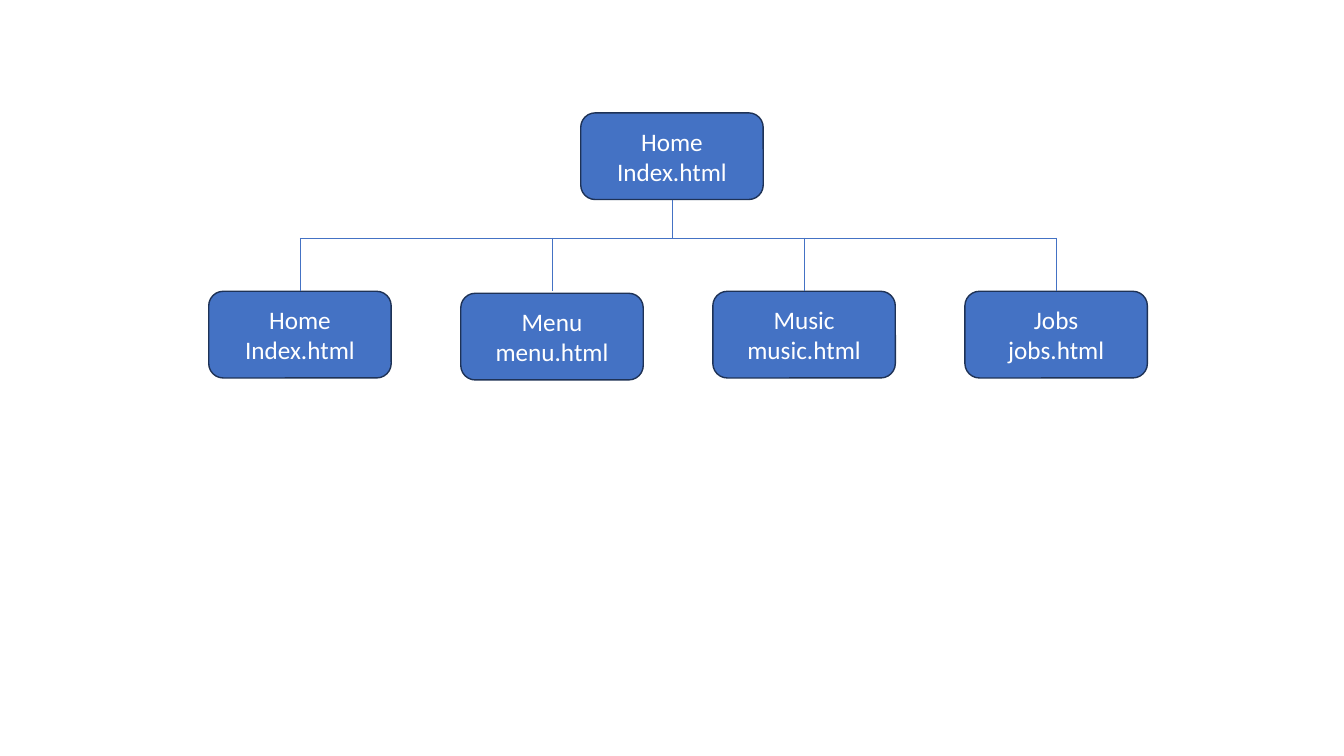
from pptx import Presentation
from pptx.dml.color import RGBColor
from pptx.enum.shapes import MSO_CONNECTOR as Connector, MSO_SHAPE as Shape
from pptx.enum.text import MSO_ANCHOR as Anchor, PP_ALIGN as Align
from pptx.oxml.ns import qn
from pptx.util import Inches, Pt
from lxml.etree import SubElement

BLUE, NAVY, WHITE = "4472C4", "1E3256", "FFFFFF"
NODE_WIDTH, NODE_HEIGHT = 1.81, 0.86
PITCH = 2.5
BAR_DROP = 1.24
CHILD_DROP = 1.77
HOME = ("Home", "Index.html")
# Each page: title, file, and how far its node sits below the row
CHILDREN = [(*HOME, 0), ("Menu", "menu.html", 0.02),
            ("Music", "music.html", 0), ("Jobs", "jobs.html", 0)]


def color(value):
    """Turn a hex string into a colour."""
    return RGBColor.from_string(value)


def add_node(page, left, top, lines):
    """Draw one page of the site map as a rounded box."""
    node = page.shapes.add_shape(
        Shape.ROUNDED_RECTANGLE, Inches(left), Inches(top),
        Inches(NODE_WIDTH), Inches(NODE_HEIGHT))
    node.shadow.inherit = False
    node.fill.solid()
    node.fill.fore_color.rgb = color(BLUE)
    node.line.color.rgb = color(NAVY)
    node.line.width = Pt(1)
    frame = node.text_frame
    frame.word_wrap = True
    frame.vertical_anchor = Anchor.MIDDLE
    for index, line in enumerate(lines):
        para = frame.add_paragraph() if index else frame.paragraphs[0]
        para.alignment = Align.CENTER
        span = para.add_run()
        span.text = line
        span.font.name = "Calibri"
        span.font.size = Pt(18)
        span.font.color.rgb = color(WHITE)


def add_link(page, start, end):
    """Draw a thin straight line between two points."""
    link = page.shapes.add_connector(
        Connector.STRAIGHT, *map(Inches, (*start, *end)))
    link.line.color.rgb = color(BLUE)
    link.line.width = Pt(0.5)
    SubElement(link._element.spPr, qn("a:effectLst"))


def add_site_map(page, left, top, width):
    """Draw the home page over a row of child pages, joined by a bar."""
    bar = top + BAR_DROP
    row = top + CHILD_DROP
    add_node(page, left + (width - NODE_WIDTH) / 2 + 0.04 - 0.04, top, HOME)
    centers = []
    for index, (title, file, drop) in enumerate(CHILDREN):
        node_left = left + index * PITCH
        add_node(page, node_left, row + drop, (title, file))
        centers.append(node_left + NODE_WIDTH / 2)
    add_link(page, (centers[0], bar), (centers[-1], bar))
    for center in centers:
        add_link(page, (center, bar), (center, row))
    trunk = left + width / 2
    add_link(page, (trunk, top + NODE_HEIGHT), (trunk, bar))


deck = Presentation()
deck.slide_width, deck.slide_height = Inches(13.33), Inches(7.5)
page = deck.slides.add_slide(deck.slide_layouts[6])
add_site_map(page, left=2.07, top=1.12, width=9.19)
deck.save("out.pptx")
